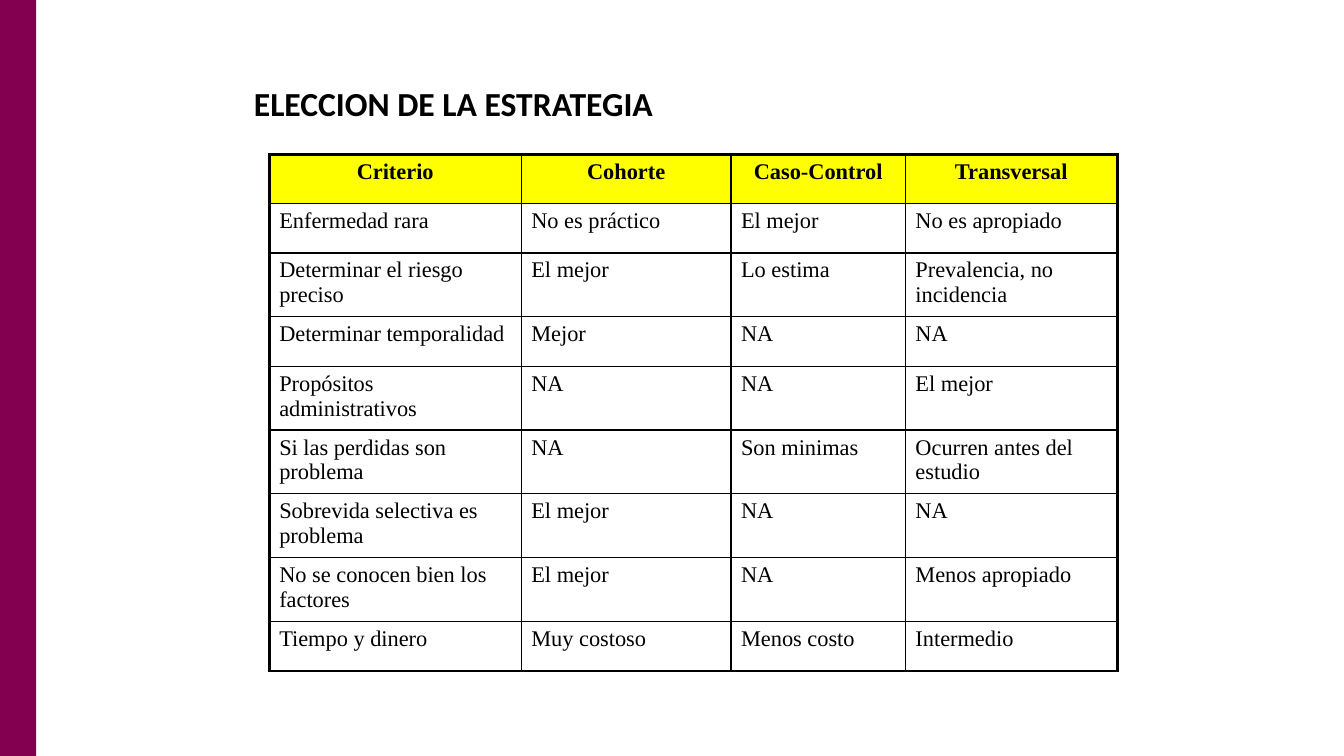
from lxml.etree import SubElement
from pptx import Presentation
from pptx.dml.color import RGBColor
from pptx.enum.shapes import MSO_SHAPE
from pptx.enum.text import MSO_ANCHOR, PP_ALIGN
from pptx.oxml.ns import qn
from pptx.util import Inches, Pt

PLUM = RGBColor(0x83, 0x00, 0x51)
YELLOW = RGBColor(0xFF, 0xFF, 0x00)
BLACK = RGBColor(0x00, 0x00, 0x00)

WIDTH, HEIGHT = 13.33, 7.5
COLS = [2.5, 2.08, 1.73, 2.1]
SHORT, TALL = 0.49, 0.63
THIN, THICK = 1, 2.25

HEAD = ["Criterio", "Cohorte", "Caso-Control", "Transversal"]
# Row height, then the text of its cells
BODY = [
    (SHORT, ["Enfermedad rara", "No es práctico", "El mejor", "No es apropiado"]),
    (TALL, ["Determinar el riesgo preciso", "El mejor", "Lo estima",
            "Prevalencia, no incidencia"]),
    (SHORT, ["Determinar temporalidad", "Mejor", "NA", "NA"]),
    (TALL, ["Propósitos administrativos", "NA", "NA", "El mejor"]),
    (TALL, ["Si las perdidas son problema", "NA", "Son minimas",
            "Ocurren antes del estudio"]),
    (TALL, ["Sobrevida selectiva es problema", "El mejor", "NA", "NA"]),
    (TALL, ["No se conocen bien los factores", "El mejor", "NA", "Menos apropiado"]),
    (SHORT, ["Tiempo y dinero", "Muy costoso", "Menos costo", "Intermedio"]),
]


def write(frame, text, font="Times New Roman", size=16, bold=False,
          align=PP_ALIGN.LEFT, lines=None):
    frame.word_wrap = True
    para = frame.paragraphs[0]
    para.alignment = align
    para.line_spacing = lines
    run = para.add_run()
    run.text = text
    run.font.name = font
    run.font.size = Pt(size)
    run.font.bold = bold
    run.font.color.rgb = BLACK


def add_band(slide):
    band = slide.shapes.add_shape(MSO_SHAPE.RECTANGLE, 0, 0,
                                  Inches(0.36), Inches(HEIGHT))
    band.shadow.inherit = False
    band.fill.solid()
    band.fill.fore_color.rgb = PLUM
    band.line.fill.background()


def add_title(slide, text):
    box = slide.shapes.add_textbox(Inches(2.42), Inches(0.67),
                                   Inches(8.5), Inches(0.75))
    box.text_frame.vertical_anchor = MSO_ANCHOR.MIDDLE
    write(box.text_frame, text, font="Calibri", size=24, bold=True, lines=0.9)


def set_edges(cell, edges):
    """Draw the cell borders; the schema wants them ahead of the fill."""
    props = cell._tc.get_or_add_tcPr()
    for spot, (side, width) in enumerate(edges.items()):
        line = SubElement(props, qn(f"a:ln{side}"), w=str(int(Pt(width))))
        paint = SubElement(line, qn("a:solidFill"))
        SubElement(paint, qn("a:srgbClr"), val=str(BLACK))
        props.insert(spot, line)


def add_grid(slide):
    rows = [(SHORT, HEAD)] + BODY
    high = sum(tall for tall, _ in rows)
    frame = slide.shapes.add_table(len(rows), len(COLS), Inches(2.67), Inches(1.53),
                                   Inches(sum(COLS)), Inches(high))
    table = frame.table
    table.horz_banding = False
    for col, wide in zip(table.columns, COLS):
        col.width = Inches(wide)
    for r, (tall, texts) in enumerate(rows):
        table.rows[r].height = Inches(tall)
        for c, text in enumerate(texts):
            cell = table.cell(r, c)
            top = r == 0
            if top:
                cell.fill.solid()
                cell.fill.fore_color.rgb = YELLOW
            else:
                cell.fill.background()
            write(cell.text_frame, text, bold=top,
                  align=PP_ALIGN.CENTER if top else PP_ALIGN.LEFT)
            # Thick lines on the outer frame only
            outer = {"L": c == 0, "R": c == len(COLS) - 1,
                     "T": top, "B": r == len(rows) - 1}
            set_edges(cell, {side: THICK if out else THIN
                             for side, out in outer.items()})


def main():
    deck = Presentation()
    deck.slide_width, deck.slide_height = Inches(WIDTH), Inches(HEIGHT)
    slide = deck.slides.add_slide(deck.slide_layouts[6])
    add_band(slide)
    add_title(slide, "ELECCION DE LA ESTRATEGIA")
    add_grid(slide)
    deck.save("out.pptx")


if __name__ == "__main__":
    main()
